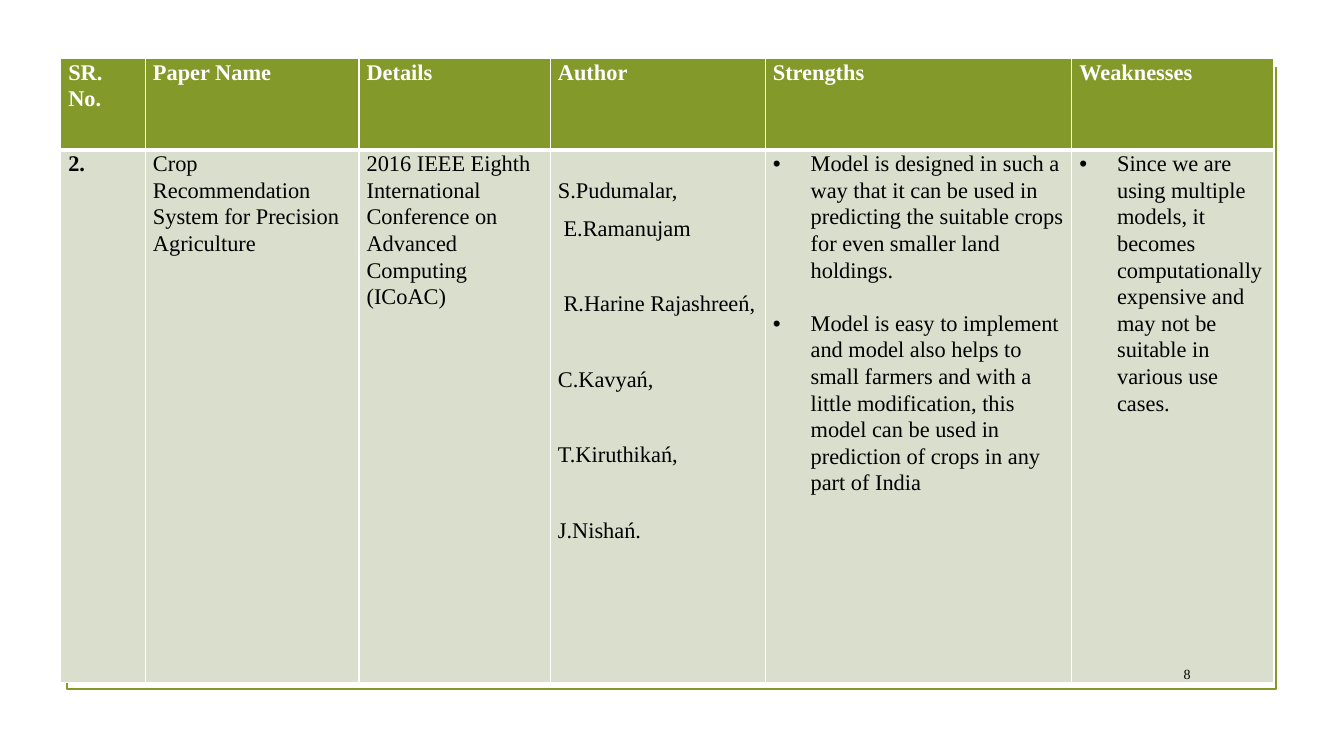
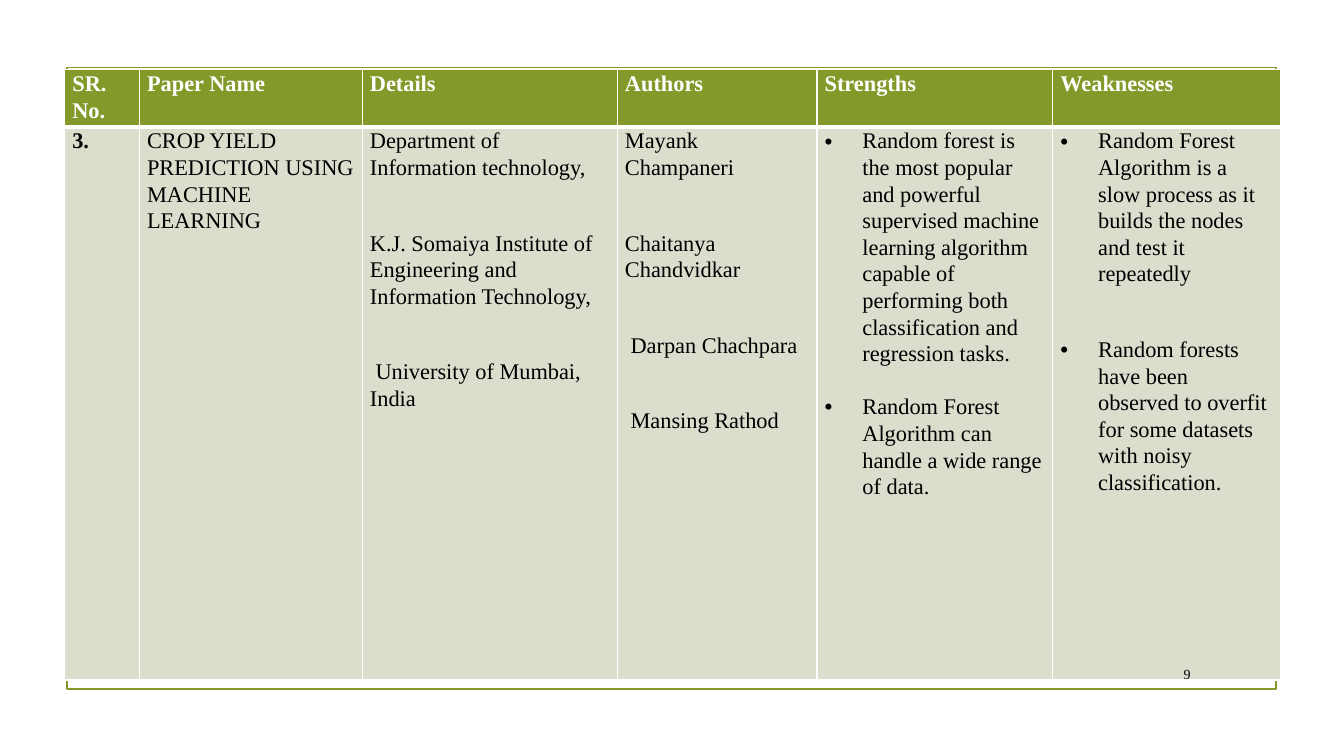
"""Build two literature survey slides, each a framed comparison table."""
from dataclasses import dataclass

from lxml import etree
from pptx import Presentation
from pptx.dml.color import RGBColor
from pptx.enum.shapes import MSO_SHAPE
from pptx.enum.text import MSO_ANCHOR, PP_ALIGN
from pptx.oxml.ns import qn
from pptx.util import Pt

RECTANGLE = MSO_SHAPE.RECTANGLE
MIDDLE, TOP = MSO_ANCHOR.MIDDLE, MSO_ANCHOR.TOP
RIGHT = PP_ALIGN.RIGHT
BLANK_LAYOUT = 6


@dataclass(frozen=True)
class Theme:
    """Colours, type sizes and spacing shared by the slides."""
    font: str = "Times New Roman"
    accent: str = "83992A"
    body_fill: str = "D9DECD"
    white: str = "FFFFFF"
    black: str = "000000"
    table_size: float = 16
    number_size: float = 10
    line_spacing: float = 1.07
    normal_gap: float = 8
    line_gap: float = 19
    wide_gap: float = 35
    side_inset: float = 5.4
    bullet_indent: float = 27
    thin: float = 1
    thick: float = 3


THEME = Theme()


@dataclass(frozen=True)
class Line:
    """One paragraph of a cell."""
    text: str
    gap: float = THEME.normal_gap
    bullet: bool = False
    indent: float = 0


@dataclass(frozen=True)
class Survey:
    """One surveyed paper and the geometry of its table."""
    number: str
    left: float
    top: float
    columns: tuple
    rows: tuple
    headings: tuple
    cells: tuple
    author_top: float = 0


SURVEYS = (
    Survey(
        "8", 43.4, 41.9,
        (60.5, 152.6, 136.7, 153.5, 218.9, 144.5), (65.3, 380.5),
        ("SR. No.", "Paper Name", "Details", "Author", "Strengths", "Weaknesses"),
        (
            [Line("2.")],
            [Line("Crop Recommendation System for Precision Agriculture")],
            [Line("2016 IEEE Eighth International Conference on Advanced "
                  "Computing (ICoAC)")],
            [Line("S.Pudumalar,"),
             Line("E.Ramanujam", THEME.wide_gap, indent=4),
             Line("R.Harine Rajashreeń,", THEME.wide_gap, indent=4),
             Line("C.Kavyań,", THEME.wide_gap),
             Line("T.Kiruthikań,", THEME.wide_gap),
             Line("J.Nishań.")],
            [Line("Model is designed in such a way that it can be used in "
                  "predicting the suitable crops for even smaller land holdings.",
                  THEME.line_gap, bullet=True),
             Line("Model is easy to implement and model also helps to small "
                  "farmers and with a little modification, this model can be "
                  "used in prediction of crops in any part of India", bullet=True)],
            [Line("Since we are using multiple models, it becomes "
                  "computationally expensive and may not be suitable in "
                  "various use cases.", bullet=True)],
        ),
        author_top=THEME.line_gap,
    ),
    Survey(
        "9", 46.3, 49.8,
        (53.4, 159.2, 182.2, 142.6, 168.4, 162.6), (40.3, 394.8),
        ("SR. No.", "Paper Name", "Details", "Authors", "Strengths", "Weaknesses"),
        (
            [Line("3.")],
            [Line("CROP YIELD PREDICTION USING MACHINE LEARNING")],
            [Line("Department of Information technology,", THEME.wide_gap),
             Line("K.J. Somaiya Institute of Engineering and Information "
                  "Technology,", THEME.wide_gap),
             Line("University of Mumbai, India", indent=4)],
            [Line("Mayank Champaneri", THEME.wide_gap),
             Line("Chaitanya Chandvidkar", THEME.wide_gap),
             Line("Darpan Chachpara", THEME.wide_gap, indent=4),
             Line("Mansing Rathod", indent=4)],
            [Line("Random forest is the most popular and powerful supervised "
                  "machine learning algorithm capable of performing both "
                  "classification and regression tasks.",
                  THEME.line_gap, bullet=True),
             Line("Random Forest Algorithm can handle a wide range of data.",
                  bullet=True)],
            [Line("Random Forest Algorithm is a slow process as it builds the "
                  "nodes and test it repeatedly", THEME.wide_gap, bullet=True),
             Line("Random forests have been observed to overfit for some "
                  "datasets with noisy classification.", bullet=True)],
        ),
    ),
)


def style_runs(paragraph, size, color, bold=False):
    """Give every run of a paragraph the theme font."""
    for run in paragraph.runs:
        run.font.name = THEME.font
        run.font.size = Pt(size)
        run.font.bold = bold
        run.font.color.rgb = RGBColor.from_string(color)


def indent_paragraph(paragraph, line):
    """Set the bullet or first-line indent of a paragraph."""
    properties = paragraph._p.get_or_add_pPr()
    if line.bullet:
        properties.set("marL", str(Pt(THEME.bullet_indent)))
        properties.set("indent", str(-Pt(THEME.bullet_indent)))
        etree.SubElement(properties, qn("a:buFont"), typeface="Arial")
        etree.SubElement(properties, qn("a:buChar"), char="•")
    elif line.indent:
        properties.set("indent", str(Pt(line.indent)))


def set_borders(cell, top, bottom):
    """Draw white borders around a cell."""
    properties = cell._tc.get_or_add_tcPr()
    widths = {"L": THEME.thin, "R": THEME.thin, "T": top, "B": bottom}
    for side, width in widths.items():
        border = etree.SubElement(properties, qn(f"a:ln{side}"), w=str(Pt(width)))
        fill = etree.SubElement(border, qn("a:solidFill"))
        etree.SubElement(fill, qn("a:srgbClr"), val=THEME.white)


def fill_cell(cell, lines, fill, color, bold, top_inset=0):
    """Write the lines of a cell and colour it."""
    cell.fill.solid()
    cell.fill.fore_color.rgb = RGBColor.from_string(fill)
    cell.vertical_anchor = TOP
    cell.margin_left = cell.margin_right = Pt(THEME.side_inset)
    cell.margin_top, cell.margin_bottom = Pt(top_inset), Pt(0)
    cell.text_frame.text = "\n".join(line.text for line in lines)
    for paragraph, line in zip(cell.text_frame.paragraphs, lines):
        indent_paragraph(paragraph, line)
        paragraph.line_spacing = THEME.line_spacing
        paragraph.space_after = Pt(line.gap)
        style_runs(paragraph, THEME.table_size, color, bold)


def add_frame(slide):
    """Add the thin green frame behind the table."""
    shape = slide.shapes.add_shape(RECTANGLE, Pt(47.7), Pt(48.3), Pt(864), Pt(444))
    shape.shadow.inherit = False
    shape.fill.background()
    shape.line.color.rgb = RGBColor.from_string(THEME.accent)
    shape.line.width = Pt(1.25)


def add_survey_table(slide, survey):
    """Add the table with a heading row and one paper."""
    table = slide.shapes.add_table(
        len(survey.rows), len(survey.columns), Pt(survey.left), Pt(survey.top),
        Pt(sum(survey.columns)), Pt(sum(survey.rows))).table
    table.horz_banding = False
    for row, height in zip(table.rows, survey.rows):
        row.height = Pt(height)
    for index, width in enumerate(survey.columns):
        table.columns[index].width = Pt(width)
        heading, body = table.cell(0, index), table.cell(1, index)
        set_borders(heading, THEME.thin, THEME.thick)
        set_borders(body, THEME.thick, THEME.thin)
        fill_cell(heading, [Line(survey.headings[index])],
                  THEME.accent, THEME.white, True)
        is_author = survey.headings[index].startswith("Author")
        fill_cell(body, survey.cells[index], THEME.body_fill, THEME.black,
                  index == 0, survey.author_top if is_author else 0)


def add_slide_number(slide, number):
    """Add the slide number at the lower right."""
    box = slide.shapes.add_textbox(Pt(815), Pt(470), Pt(42.5), Pt(22.5))
    frame = box.text_frame
    frame.word_wrap = True
    frame.vertical_anchor = MIDDLE
    frame.text = number
    paragraph = frame.paragraphs[0]
    paragraph.alignment = RIGHT
    style_runs(paragraph, THEME.number_size, THEME.black)


def main():
    """Build and save the presentation."""
    presentation = Presentation()
    presentation.slide_width, presentation.slide_height = Pt(960), Pt(540)
    for survey in SURVEYS:
        slide = presentation.slides.add_slide(
            presentation.slide_layouts[BLANK_LAYOUT])
        add_frame(slide)
        add_survey_table(slide, survey)
        add_slide_number(slide, survey.number)
    presentation.save("out.pptx")


if __name__ == "__main__":
    main()
